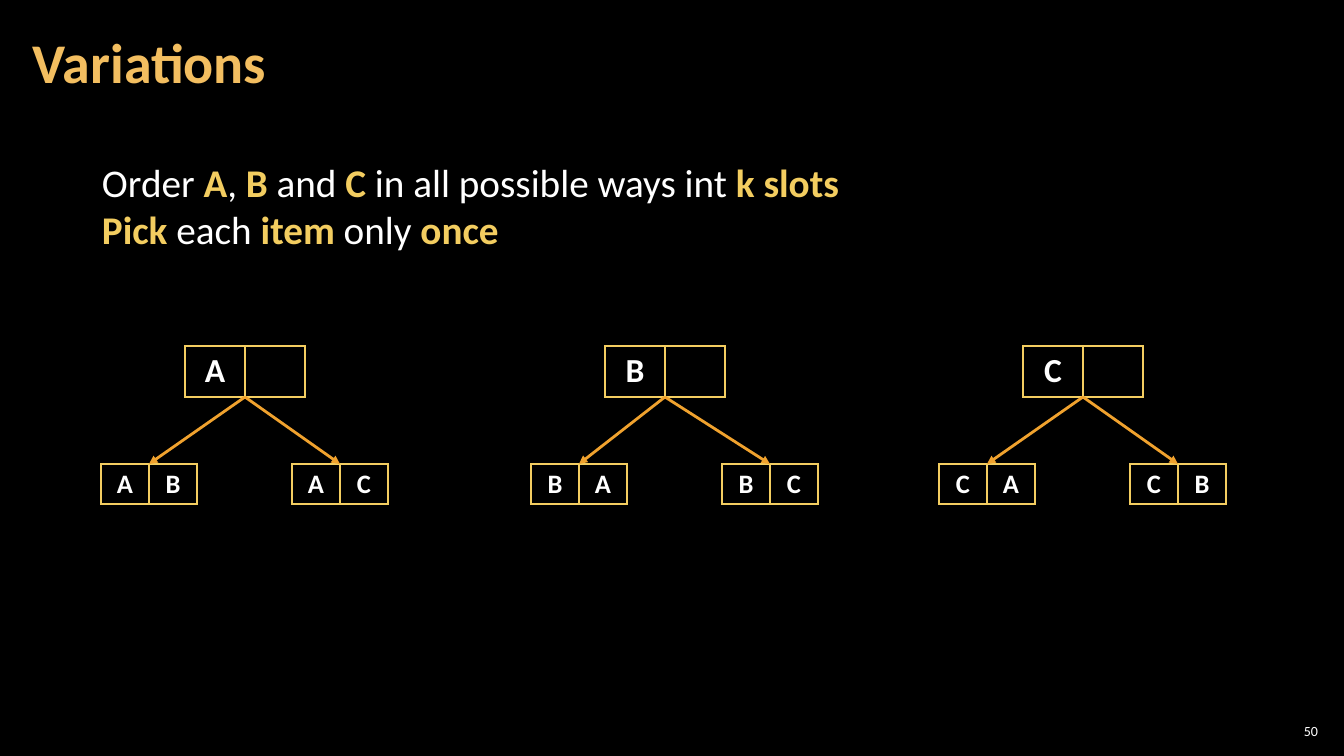
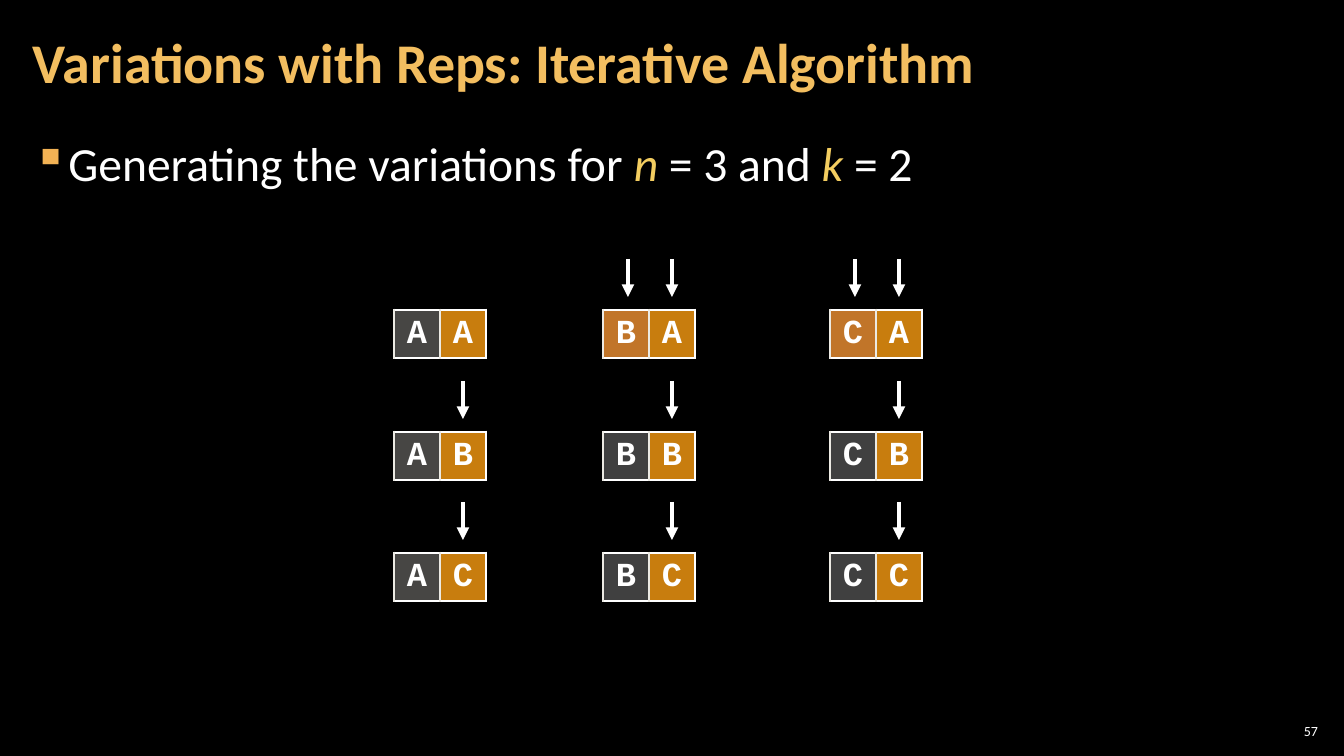
from lxml import etree
from pptx import Presentation
from pptx.dml.color import RGBColor
from pptx.enum.shapes import MSO_CONNECTOR
from pptx.enum.text import MSO_ANCHOR, PP_ALIGN
from pptx.oxml.ns import qn
from pptx.util import Emu, Pt

STRAIGHT = MSO_CONNECTOR.STRAIGHT
MIDDLE = MSO_ANCHOR.MIDDLE
CENTER = PP_ALIGN.CENTER
RIGHT = PP_ALIGN.RIGHT

BLACK = RGBColor(0x00, 0x00, 0x00)
WHITE = RGBColor(0xFF, 0xFF, 0xFF)
TITLE_GOLD = RGBColor(0xF3, 0xBE, 0x60)
ACCENT = RGBColor(0xF3, 0xCD, 0x60)
BULLET = RGBColor(0xF2, 0xB2, 0x54)
BRANCH = RGBColor(0xF0, 0xA2, 0x2E)
DIVIDER = RGBColor(0xEC, 0xEA, 0xE3)
ASH = RGBColor(0x47, 0x46, 0x44)
CHARCOAL = RGBColor(0x40, 0x40, 0x40)
COPPER = RGBColor(0xC1, 0x75, 0x29)
AMBER = RGBColor(0xC8, 0x7D, 0x0E)

SANS = "Calibri"
MONO = "Courier New"
LETTERS = "ABC"
PX_PER_INCH = 100.8
TOP_SIDE, BOTTOM_SIDE = 0, 2

ROOT_CELL, ROOT_HEIGHT = 60, 51
LEAF_CELL, LEAF_HEIGHT = 48, 40
LEAF_STEP, LEAF_DROP = 191, 118
PAIR_CELL, PAIR_HEIGHT = 46, 48
ARROW_OFFSETS = (25, 69)
ARROW_LENGTH, ARROW_GAP = 38, 13


def px(length):
    """Turn pixels into EMU."""
    return Emu(round(length * 914400 / PX_PER_INCH))


def write(frame, text, size, color=WHITE, font=SANS, bold=False, align=None,
          spacing=None, italic_accent=False):
    """Write lines of text, giving the parts between asterisks the accent format."""
    for row, line in enumerate(text.split("\n")):
        para = frame.add_paragraph() if row else frame.paragraphs[0]
        para.alignment = align
        para.line_spacing = spacing
        for index, part in enumerate(line.split("*")):
            if not part:
                continue
            accented = index % 2 == 1
            span = para.add_run()
            span.text = part
            span.font.name = font
            span.font.size = Pt(size)
            span.font.bold = bold or (accented and not italic_accent)
            span.font.italic = accented and italic_accent
            span.font.color.rgb = ACCENT if accented else color


def add_text(page, box, text, size, margins=(12, 4), anchor=None, wrap=True, **style):
    """Add a text box and return its frame."""
    frame = page.shapes.add_textbox(*map(px, box)).text_frame
    frame.word_wrap = wrap
    frame.margin_left = frame.margin_right = px(margins[0])
    frame.margin_top = frame.margin_bottom = px(margins[1])
    frame.vertical_anchor = anchor
    write(frame, text, size, **style)
    return frame


def add_bullet(para, char, color, indent):
    """Give a paragraph a hanging bullet."""
    properties = para._p.get_or_add_pPr()
    properties.set("marL", str(px(indent)))
    properties.set("indent", str(-px(indent)))
    bullet_color = etree.SubElement(properties, qn("a:buClr"))
    etree.SubElement(bullet_color, qn("a:srgbClr"), val=str(color))
    etree.SubElement(properties, qn("a:buChar"), char=char)


def add_arrow(page, start, end, color, width):
    """Draw a straight arrow between two points."""
    arrow = page.shapes.add_connector(STRAIGHT, *map(px, (*start, *end)))
    arrow.line.color.rgb = color
    arrow.line.width = Pt(width)
    etree.SubElement(arrow.line._get_or_add_ln(), qn("a:tailEnd"), type="triangle")
    etree.SubElement(arrow._element.spPr, qn("a:effectLst"))
    return arrow


def set_borders(cell, borders):
    """Set the left, right, top and bottom borders from (colour, points) pairs."""
    properties = cell._tc.get_or_add_tcPr()
    for index, (side, (color, width)) in enumerate(zip("LRTB", borders)):
        line = etree.Element(qn(f"a:ln{side}"), w=str(Pt(width)))
        fill = etree.SubElement(line, qn("a:solidFill"))
        etree.SubElement(fill, qn("a:srgbClr"), val=str(color))
        properties.insert(index, line)


def add_slots(page, left, top, cell_width, height, letters, borders,
              fills=(None, None), **style):
    """Add a one-row table with a slot for each letter."""
    width = cell_width * len(letters)
    frame = page.shapes.add_table(1, len(letters), *map(px, (left, top, width, height)))
    table = frame.table
    table.first_row = table.horz_banding = False
    for index, letter in enumerate(letters):
        cell = table.cell(0, index)
        cell.margin_left = cell.margin_right = px(8)
        cell.margin_top = cell.margin_bottom = px(4)
        cell.vertical_anchor = MIDDLE
        if fills[index] is None:
            cell.fill.background()
        else:
            cell.fill.solid()
            cell.fill.fore_color.rgb = fills[index]
        set_borders(cell, borders[index])
        write(cell.text_frame, letter, bold=True, align=CENTER, **style)
    return frame


def add_tree(page, left, top, letter, root_shift):
    """Draw a first pick and the two picks that can follow it."""
    borders = [[(ACCENT, 1)] * 4] * 2
    root = add_slots(page, left + root_shift, top, ROOT_CELL, ROOT_HEIGHT,
                     (letter, ""), borders, size=24)
    start = (left + root_shift + ROOT_CELL, top + ROOT_HEIGHT)
    for index, other in enumerate(LETTERS.replace(letter, "")):
        leaf_left, leaf_top = left + index * LEAF_STEP, top + LEAF_DROP
        leaf = add_slots(page, leaf_left, leaf_top, LEAF_CELL, LEAF_HEIGHT,
                         (letter, other), borders, size=19)
        branch = add_arrow(page, start, (leaf_left + LEAF_CELL, leaf_top), BRANCH, 2)
        branch.begin_connect(root, BOTTOM_SIDE)
        branch.end_connect(leaf, TOP_SIDE)


def add_pair(page, left, top, letters, first_fill, arrow_offsets):
    """Draw a filled pair of letters with arrows above the changed ones."""
    thin, thick = (DIVIDER, 1), (WHITE, 2.25)
    borders = [(thin, thin, thick, thick), (thin, thick, thick, thick)]
    add_slots(page, left, top, PAIR_CELL, PAIR_HEIGHT, letters, borders,
              fills=(first_fill, AMBER), size=24, font=MONO, spacing=0.95)
    end = top - ARROW_GAP
    for offset in arrow_offsets:
        add_arrow(page, (left + offset, end - ARROW_LENGTH), (left + offset, end), WHITE, 3)


def add_page(deck, title, number):
    """Add a black slide with its title and number."""
    page = deck.slides.add_slide(deck.slide_layouts[6])
    page.background.fill.solid()
    page.background.fill.fore_color.rgb = BLACK
    add_text(page, (1275, 720, 47, 21), number, 10, margins=(4, 4), anchor=MIDDLE,
             align=RIGHT)
    add_text(page, (21, 4, 1055, 122), title, 40, anchor=MIDDLE, color=TITLE_GOLD,
             bold=True, spacing=0.9)
    return page


def variations_page(deck):
    """Build the slide with one tree for each first letter."""
    page = add_page(deck, "Variations", "50")
    add_text(page, (92, 153, 762, 105),
             "Order *A*, *B* and *C* in all possible ways int *k slots*\n"
             "*Pick* each *item* only *once*", 28, margins=(10, 5), wrap=False)
    for letter, left, root_shift in zip(LETTERS, (101, 531, 939), (84, 74, 84)):
        add_tree(page, left, 346, letter, root_shift)


def iterative_page(deck):
    """Build the slide with the grid of generated pairs."""
    page = add_page(deck, "Variations with Reps: Iterative Algorithm", "57")
    body = add_text(page, (21, 127, 1301, 614),
                    "Generating the variations for *n* = 3 and *k* = 2", 34,
                    spacing=1.05, italic_accent=True)
    add_bullet(body.paragraphs[0], "▪", BULLET, 33)
    for column, (first, left) in enumerate(zip(LETTERS, (394, 603, 830))):
        for row, (second, top) in enumerate(zip(LETTERS, (310, 432, 553))):
            first_fill = CHARCOAL if column else ASH
            offsets = ARROW_OFFSETS[1:]
            if row == 0:
                first_fill = COPPER if column else ASH
                offsets = ARROW_OFFSETS if column else ()
            add_pair(page, left, top, (first, second), first_fill, offsets)


def main():
    """Build and save the deck."""
    deck = Presentation()
    deck.slide_width, deck.slide_height = px(1344), px(756)
    variations_page(deck)
    iterative_page(deck)
    deck.save("out.pptx")


if __name__ == "__main__":
    main()
